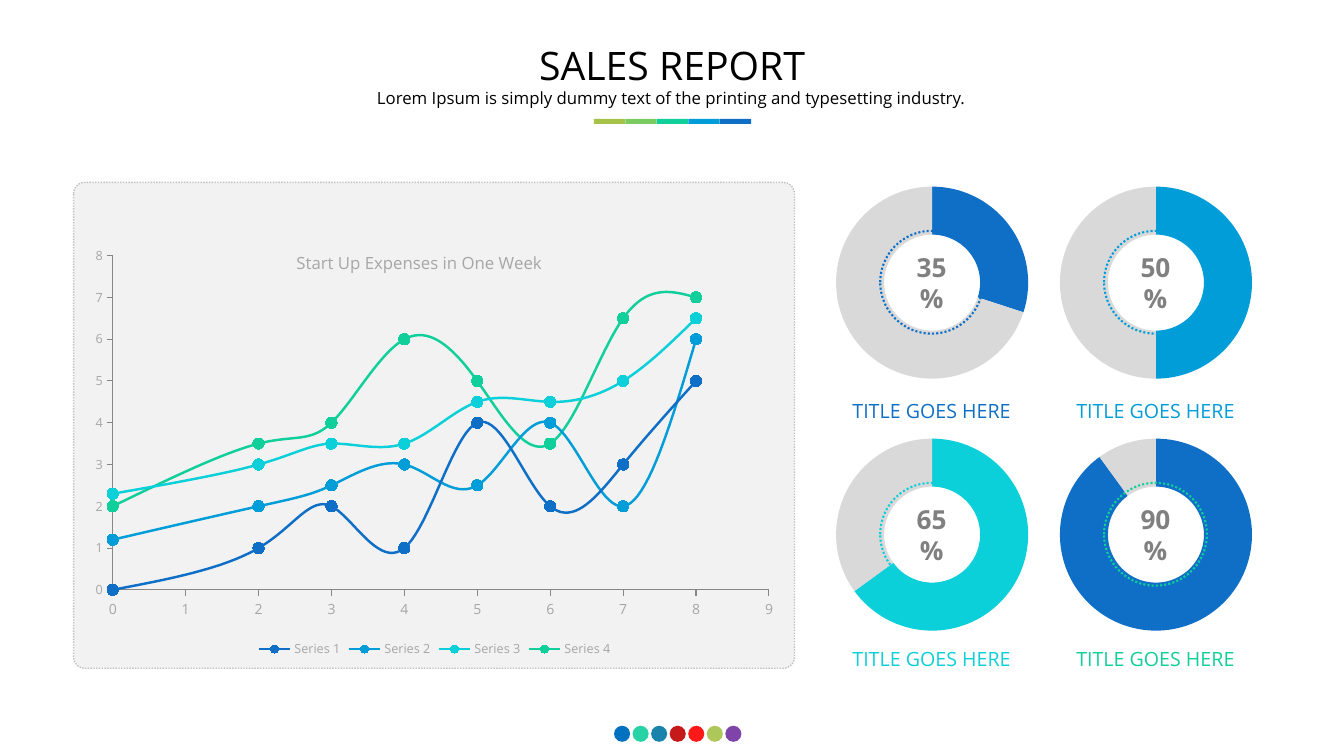
from pptx import Presentation
from pptx.chart.data import CategoryChartData, XyChartData
from pptx.dml.color import RGBColor
from pptx.enum.chart import XL_CHART_TYPE as CT, XL_LEGEND_POSITION as LP
from pptx.enum.chart import XL_MARKER_STYLE as MS, XL_TICK_MARK as TM
from pptx.enum.dml import MSO_LINE
from pptx.enum.shapes import MSO_SHAPE as SHAPE
from pptx.enum.text import MSO_ANCHOR, PP_ALIGN
from pptx.oxml import parse_xml
from pptx.oxml.ns import nsdecls, qn
from pptx.util import Inches, Pt

FONT = "Open Sans"
BLACK = RGBColor(0x00, 0x00, 0x00)
BLUE = RGBColor(0x0F, 0x6F, 0xC6)
SKY = RGBColor(0x00, 0x9D, 0xD9)
CYAN = RGBColor(0x0B, 0xD0, 0xD9)
GREEN = RGBColor(0x10, 0xCF, 0x9B)
LEAF = RGBColor(0x7C, 0xCA, 0x62)
OLIVE = RGBColor(0xA5, 0xC2, 0x49)
NAVY = RGBColor(0x00, 0x70, 0xC0)
TEAL = RGBColor(0x00, 0x76, 0xA3)
CRIMSON = RGBColor(0xC0, 0x00, 0x00)
RED = RGBColor(0xFF, 0x00, 0x00)
PURPLE = RGBColor(0x70, 0x30, 0xA0)
PANEL = RGBColor(0xF2, 0xF2, 0xF2)
BORDER = RGBColor(0xBF, 0xBF, 0xBF)
RING = RGBColor(0xD9, 0xD9, 0xD9)
LABEL = RGBColor(0xA6, 0xA6, 0xA6)
AXIS = RGBColor(0x86, 0x86, 0x86)
GREY = RGBColor(0x80, 0x80, 0x80)

prs = Presentation()
prs.slide_width, prs.slide_height = Inches(13.33), Inches(7.5)
s = prs.slides.add_slide(prs.slide_layouts[6])


def add_shape(kind, x, y, w, h, fill=None, line=None, width=1):
    sp = s.shapes.add_shape(kind, Inches(x), Inches(y), Inches(w), Inches(h))
    sp.shadow.inherit = False
    if fill is None:
        sp.fill.background()
    else:
        sp.fill.solid()
        sp.fill.fore_color.rgb = fill
    if line is None:
        sp.line.fill.background()
    else:
        sp.line.color.rgb = line
        sp.line.width = Pt(width)
        sp.line.dash_style = MSO_LINE.ROUND_DOT
    return sp


def set_layout(parent, index, **place):
    for old in parent.findall(qn("c:layout")):
        parent.remove(old)
    target = '<c:layoutTarget val="inner"/>' if "w" in place else ""
    modes = "".join(f'<c:{k}Mode val="edge"/>' for k in place if k in "xy")
    sizes = "".join(f'<c:{k} val="{v}"/>' for k, v in place.items())
    parent.insert(index, parse_xml(
        f'<c:layout {nsdecls("c")}><c:manualLayout>{target}{modes}{sizes}'
        '</c:manualLayout></c:layout>'))


for i, color in enumerate([NAVY, GREEN, TEAL, CRIMSON, RED, OLIVE, PURPLE]):
    sp = add_shape(SHAPE.OVAL, 6.09 + 0.184 * i, 7.2, 0.16, 0.16, color)
    if i:
        clr = sp.fill._xPr.find(qn("a:solidFill"))[0]
        clr.append(parse_xml(f'<a:alpha {nsdecls("a")} val="90000"/>'))

panel = add_shape(SHAPE.ROUNDED_RECTANGLE, 0.73, 1.81, 7.15, 4.82, PANEL, BORDER)
panel.adjustments[0] = 0.023

days = [0, 2, 3, 4, 5, 6, 7, 8]
expenses = [
    (BLUE, [0, 1, 2, 1, 4, 2, 3, 5]),
    (SKY, [1.2, 2, 2.5, 3, 2.5, 4, 2, 6]),
    (CYAN, [2.3, 3, 3.5, 3.5, 4.5, 4.5, 5, 6.5]),
    (GREEN, [2, 3.5, 4, 6, 5, 3.5, 6.5, 7]),
]
data = XyChartData()
for n, (color, values) in enumerate(expenses, 1):
    ser = data.add_series(f"Series {n}")
    for day, value in zip(days, values):
        ser.add_data_point(day, value)
chart = s.shapes.add_chart(CT.XY_SCATTER_SMOOTH, Inches(0.81), Inches(1.88),
                           Inches(7), Inches(4.69), data).chart
chart.font.name, chart.font.size = FONT, Pt(10)
chart.font.color.rgb = LABEL

chart.has_title = True
tf = chart.chart_title.text_frame
tf.text = "Start Up Expenses in One Week"
f = tf.paragraphs[0].runs[0].font
f.name, f.size, f.bold = FONT, Pt(12), False
f.color.rgb = LABEL
set_layout(chart.chart_title._element, 1, x=0.3, y=0.12)
set_layout(chart.plots[0]._element.getparent(), 0, x=0.044, y=0.14, w=0.93, h=0.707)

chart.has_legend = True
chart.legend.position = LP.BOTTOM
chart.legend.include_in_layout = False
f = chart.legend.font
f.name, f.size = FONT, Pt(9)
f.color.rgb = LABEL

for axis, top, size in [(chart.category_axis, 9, 10), (chart.value_axis, 8, 9)]:
    axis.minimum_scale, axis.maximum_scale, axis.major_unit = 0, top, 1
    axis.major_tick_mark, axis.minor_tick_mark = TM.OUTSIDE, TM.NONE
    axis.has_major_gridlines = False
    axis.format.line.color.rgb = AXIS
    axis.format.line.width = Pt(0.75)
    axis.tick_labels.number_format = "General"
    axis.tick_labels.number_format_is_linked = False
    f = axis.tick_labels.font
    f.name, f.size = FONT, Pt(size)
    f.color.rgb = LABEL
grid = chart.value_axis
grid.has_major_gridlines = True
grid.major_gridlines.format.line.color.rgb = PANEL
grid.major_gridlines.format.line.width = Pt(0.75)

for ser, (color, values) in zip(chart.plots[0].series, expenses):
    ser._element.find(qn("c:smooth")).set("val", "1")
    ser.format.line.color.rgb = color
    ser.format.line.width = Pt(1.75)
    ser.marker.style, ser.marker.size = MS.CIRCLE, 8
    ser.marker.format.fill.solid()
    ser.marker.format.fill.fore_color.rgb = color
    ser.marker.format.line.color.rgb = color

dials = [("35%", 30, BLUE, BLUE), ("50%", 50, SKY, SKY),
         ("65%", 65, CYAN, CYAN), ("90%", 90, BLUE, GREEN)]
texts = []
for i, (label, share, color, accent) in enumerate(dials):
    row, col = divmod(i, 2)
    x, y = 8.15 + 2.22 * col, 1.65 + 2.5 * row
    data = CategoryChartData()
    data.categories = ["1", "2"]
    data.add_series("Series 1", [share, 100 - share])
    chart = s.shapes.add_chart(CT.DOUGHNUT, Inches(x), Inches(y),
                               Inches(2.19), Inches(2.31), data).chart
    chart.has_legend = chart.has_title = False
    chart.font.name, chart.font.size = FONT, Pt(18)
    chart.font.color.rgb = BLACK
    plot = chart.plots[0]
    plot.vary_by_categories = True
    plot.has_data_labels = False
    plot._element.find(qn("c:holeSize")).set("val", "70")
    set_layout(plot._element.getparent(), 0, x=0.065, y=0.0875, w=0.87, h=0.825)
    for n, rgb in enumerate([color, RING]):
        point = plot.series[0].points[n].format
        point.fill.solid()
        point.fill.fore_color.rgb = rgb
        point.line.fill.background()

    sp = add_shape(SHAPE.OVAL, x + 0.58, y + 0.64, 1.02, 1.02, None, accent, 1.5)
    tf = sp.text_frame
    tf.word_wrap = True
    tf.vertical_anchor = MSO_ANCHOR.MIDDLE
    p = tf.paragraphs[0]
    p.text, p.alignment = label, PP_ALIGN.CENTER
    f = p.runs[0].font
    f.name, f.size, f.bold = FONT, Pt(18.7), True
    f.color.rgb = GREY
    texts.append(("TITLE GOES HERE", x + 0.28, 3.96 + 2.46 * row, 1.62, 0.24,
                  14, accent, 0, 0, MSO_ANCHOR.TOP))

texts += [
    ("SALES REPORT", 2.71, 0.4, 7.91, 0.49, 28, BLACK, 0.1, 0.05, MSO_ANCHOR.MIDDLE),
    ("Lorem Ipsum is simply dummy text of the printing and typesetting industry.",
     3.29, 0.82, 6.74, 0.3, 12, BLACK, 0.1, 0.05, MSO_ANCHOR.TOP),
]
for text, x, y, w, h, size, color, side, edge, anchor in texts:
    tf = s.shapes.add_textbox(Inches(x), Inches(y), Inches(w), Inches(h)).text_frame
    tf.word_wrap = True
    tf.vertical_anchor = anchor
    tf.margin_left = tf.margin_right = Inches(side)
    tf.margin_top = tf.margin_bottom = Inches(edge)
    p = tf.paragraphs[0]
    p.text, p.alignment = text, PP_ALIGN.CENTER
    f = p.runs[0].font
    f.name, f.size = FONT, Pt(size)
    f.color.rgb = color

for i, color in enumerate([OLIVE, LEAF, GREEN, SKY, BLUE]):
    add_shape(SHAPE.RECTANGLE, 5.89 + 0.3125 * i, 1.18, 0.31, 0.05, color)

prs.save("out.pptx")
